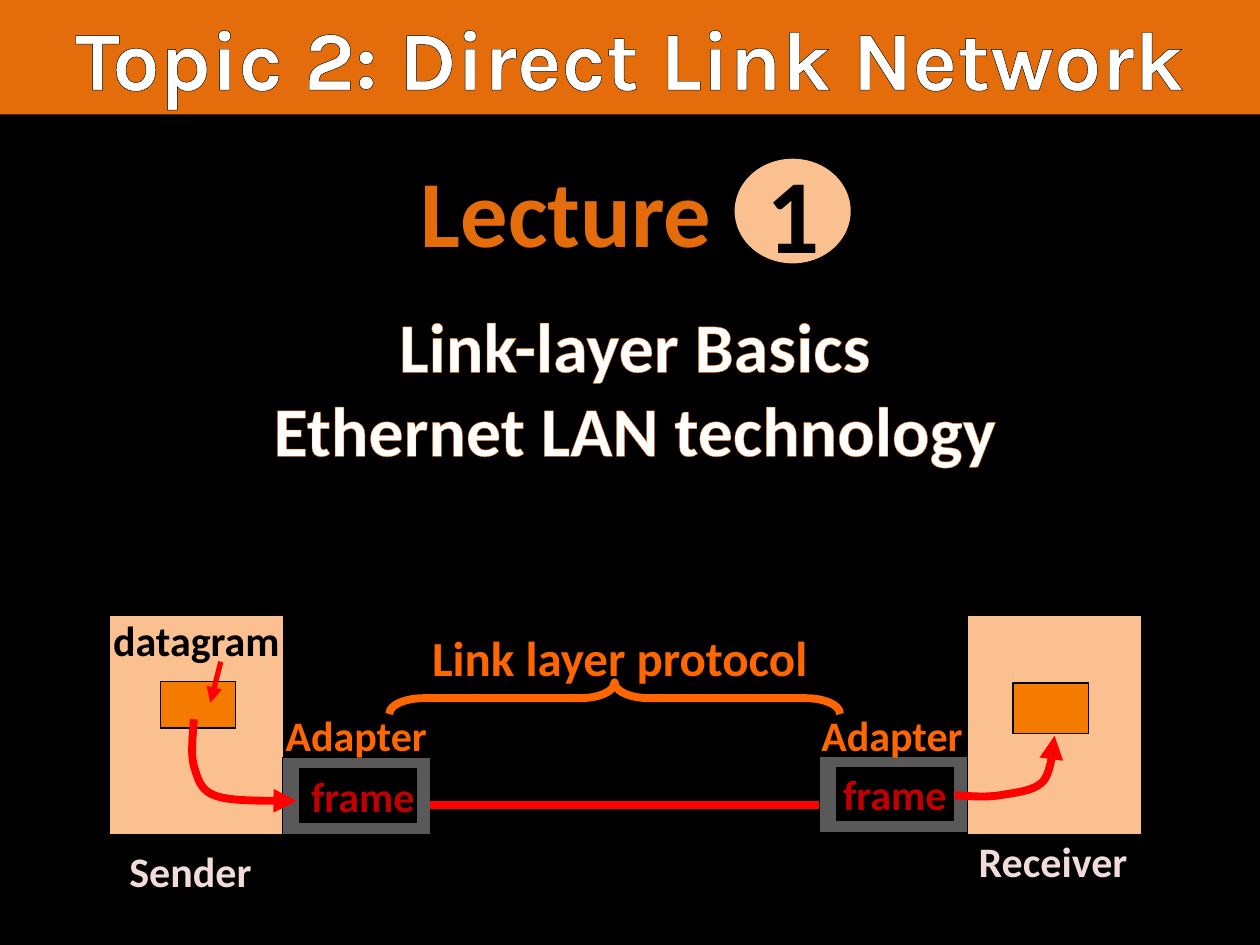
from lxml.etree import SubElement
from pptx import Presentation
from pptx.dml.color import RGBColor
from pptx.enum.shapes import MSO_CONNECTOR, MSO_SHAPE
from pptx.enum.text import MSO_ANCHOR, MSO_AUTO_SIZE, PP_ALIGN
from pptx.oxml.ns import qn
from pptx.util import Cm, Pt

BLACK = RGBColor(0x00, 0x00, 0x00)
WHITE = RGBColor(0xFF, 0xFF, 0xFF)
ORANGE = RGBColor(0xE4, 0x6C, 0x0A)
BRIGHT = RGBColor(0xFF, 0x66, 0x00)
AMBER = RGBColor(0xF4, 0x7A, 0x00)
PEACH = RGBColor(0xFA, 0xC0, 0x90)
PINK = RGBColor(0xF2, 0xDC, 0xDB)
GRAY = RGBColor(0x59, 0x59, 0x59)
RED = RGBColor(0xFF, 0x00, 0x00)
DARK_RED = RGBColor(0xC0, 0x00, 0x00)

# Content: lengths in cm
TITLE = "Topic 2: Direct Link Network"
TOPICS = ["Link-layer Basics", "Ethernet LAN technology"]
HOSTS = [(2.21, 12.4), (19.51, 12.4)]
PACKETS = [(3.23, 13.74, 1.52, 0.94), (20.42, 13.77, 1.52, 1.02)]
ADAPTERS = [(5.69, 15.27, " frame"), (16.51, 15.24, "frame")]
LABELS = [  # text, box, colour, size, alignment
    ("Sender", (2.34, 16.92, 3, 1.27), PINK, 24, PP_ALIGN.CENTER),
    ("Receiver", (19.48, 16.71, 3.53, 1.27), PINK, 24, PP_ALIGN.LEFT),
    ("datagram", (2.03, 12.27, 3.91, 1.27), BLACK, 24, PP_ALIGN.LEFT),
    ("Adapter", (5.51, 14.17, 3.38, 1.27), BRIGHT, 24, PP_ALIGN.LEFT),
    ("Adapter", (16.31, 14.17, 3.38, 1.27), BRIGHT, 24, PP_ALIGN.LEFT),
    ("Link layer protocol", (8.46, 12.52, 8.18, 1.45), BRIGHT, 28, PP_ALIGN.LEFT),
]
LINKS = [  # start, end, width, arrowhead
    ((8.66, 16.23), (16.51, 16.23), 4.5, False),
    ((4.45, 13.34), (4.24, 14.17), 3, True),
]
FLOWS = [  # Bezier points: start, then two controls and an end per piece
    [(3.91, 14.5), (3.89, 14.83), (3.84, 15.19), (3.91, 15.44),
     (3.99, 15.7), (4.04, 15.95), (4.37, 16.05),
     (4.72, 16.18), (5.74, 16.13), (5.99, 16.15)],
    [(19.25, 16.03), (19.56, 16.05), (19.86, 16.08), (20.17, 16.03),
     (20.45, 15.98), (20.85, 15.95), (21.03, 15.75),
     (21.21, 15.54), (21.23, 14.99), (21.26, 14.83)],
]

prs = Presentation()
prs.slide_width, prs.slide_height = Cm(25.4), Cm(19.05)
slide = prs.slides.add_slide(prs.slide_layouts[6])
slide.background.fill.solid()
slide.background.fill.fore_color.rgb = BLACK
shapes = slide.shapes


def write(s, text, size=24, color=WHITE, font="Calibri", align=PP_ALIGN.CENTER,
          anchor=MSO_ANCHOR.TOP, wrap=True, grow=True, outline=None):
    tf = s.text_frame
    tf.word_wrap, tf.vertical_anchor = wrap, anchor
    tf.auto_size = MSO_AUTO_SIZE.SHAPE_TO_FIT_TEXT if grow else MSO_AUTO_SIZE.NONE
    for i, line in enumerate(text.split("\n")):
        p = tf.add_paragraph() if i else tf.paragraphs[0]
        p.alignment = align
        r = p.add_run()
        r.text = line
        r.font.size, r.font.name, r.font.bold = Pt(size), font, True
        r.font.color.rgb = color
        if outline is not None:
            ln = SubElement(r.font._element, qn("a:ln"), w=str(Pt(0.75)))
            fill = SubElement(ln, qn("a:solidFill"))
            SubElement(fill, qn("a:srgbClr"), val=str(outline))
            r.font._element.insert(0, ln)


def add_text(box, text, **fmt):
    write(shapes.add_textbox(*map(Cm, box)), text, **fmt)


def style(s, fill=None, line=None, width=0.75):
    s.shadow.inherit = False
    for part, color in ((s.fill, fill), (s.line.fill, line)):
        if color is None:
            part.background()
        else:
            part.solid()
            part.fore_color.rgb = color
    if line is not None:
        s.line.width = Pt(width)
    return s


def add_shape(kind, box, **fmt):
    return style(shapes.add_shape(kind, *map(Cm, box)), **fmt)


def add_arrowhead(s):
    SubElement(s.line._get_or_add_ln(), qn("a:tailEnd"), type="triangle")


def bezier(points, steps=12):
    for k in range(0, len(points) - 1, 3):
        for t in (n / steps for n in range(1, steps + 1)):
            weights = ((1 - t) ** 3, 3 * t * (1 - t) ** 2, 3 * t * t * (1 - t), t ** 3)
            yield tuple(Cm(sum(w * pt[axis] for w, pt in zip(weights, points[k:k + 4])))
                        for axis in (0, 1))


# Heading
banner = add_shape(MSO_SHAPE.RECTANGLE, (0, 0, 25.4, 2.31), fill=ORANGE)
write(banner, TITLE, size=48, font="Karla", outline=BLACK)
add_text((0.2, 5.97, 25.2, 3.68), "\n".join(TOPICS), size=40, outline=ORANGE)
add_text((0.2, 2.97, 22.43, 2.57), "Lecture", size=54, color=ORANGE)
number = add_shape(MSO_SHAPE.OVAL, (14.81, 3.2, 2.34, 2.11), fill=PEACH)
write(number, "1", size=60, color=BLACK, anchor=MSO_ANCHOR.MIDDLE, grow=False)

# Hosts with their datagrams
for host, packet in zip(HOSTS, PACKETS):
    add_shape(MSO_SHAPE.RECTANGLE, (*host, 3.51, 4.42), fill=PEACH, line=BLACK)
    add_shape(MSO_SHAPE.RECTANGLE, packet, fill=AMBER, line=BLACK)

# Adapters holding frames
for x, y, text in ADAPTERS:
    add_shape(MSO_SHAPE.RECTANGLE, (x, y, 3, 1.55), fill=GRAY, line=BLACK)
    frame = add_shape(MSO_SHAPE.RECTANGLE, (x + 0.35, y + 0.23, 2.36, 1.07),
                      fill=BLACK, line=BLACK)
    write(frame, text, color=DARK_RED, anchor=MSO_ANCHOR.MIDDLE, wrap=False, grow=False)

# Labels
for text, box, color, size, align in LABELS:
    add_text(box, text, color=color, size=size, align=align, wrap=False)

# Straight links
for start, end, width, arrow in LINKS:
    c = shapes.add_connector(MSO_CONNECTOR.STRAIGHT, *map(Cm, start + end))
    c.line.color.rgb, c.line.width = RED, Pt(width)
    SubElement(c._element.spPr, qn("a:effectLst"))
    if arrow:
        add_arrowhead(c)

# Curved data flow
for points in FLOWS:
    builder = shapes.build_freeform(*map(Cm, points[0]))
    builder.add_line_segments(list(bezier(points)), close=False)
    add_arrowhead(style(builder.convert_to_shape(), line=RED, width=4.5))

# Protocol brace
brace = add_shape(MSO_SHAPE.LEFT_BRACE, (12.07, 9.53, 0.64, 9.09), line=BRIGHT, width=4.5)
brace.rotation = 90
brace.adjustments[0], brace.adjustments[1] = 1.08, 0.5

prs.save("out.pptx")
